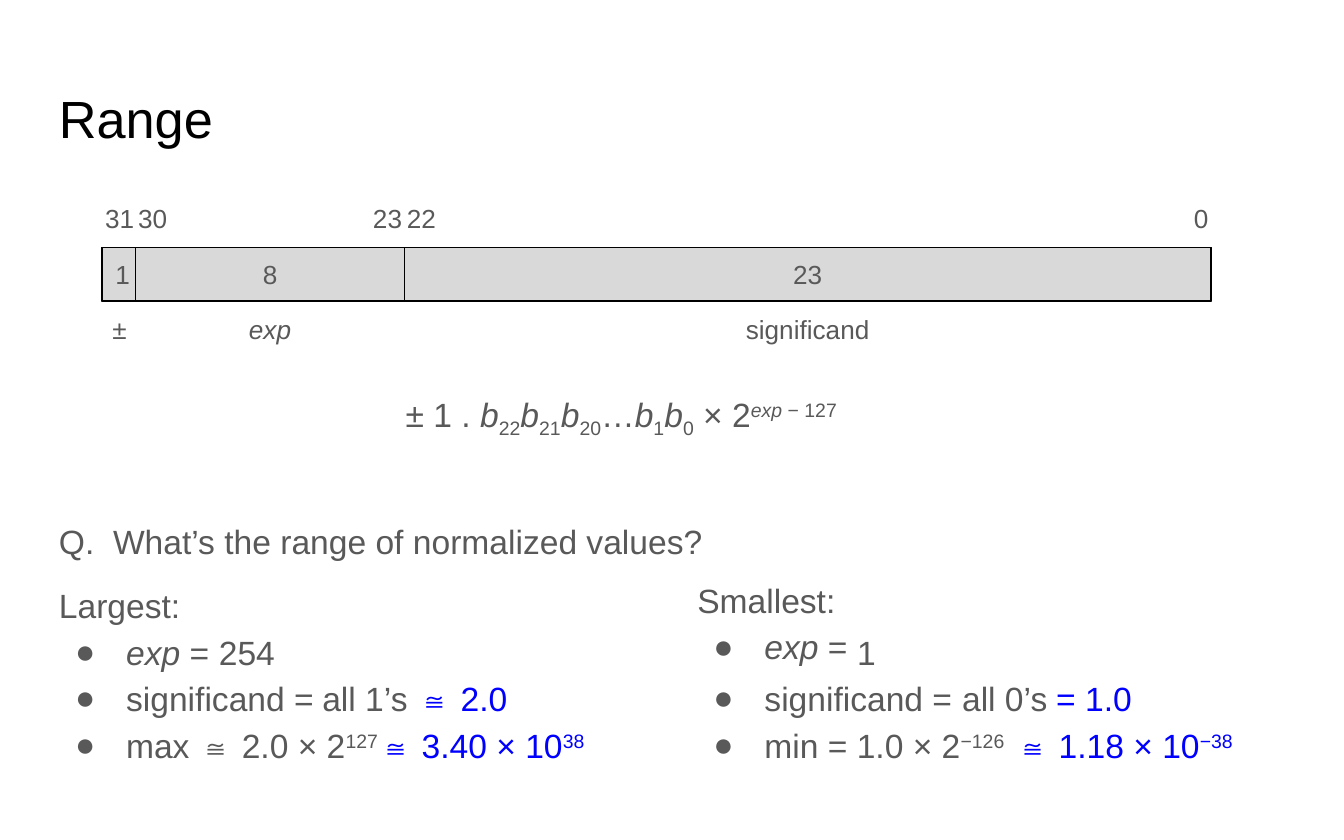
from lxml import etree
from pptx import Presentation
from pptx.dml.color import RGBColor
from pptx.enum.shapes import MSO_SHAPE
from pptx.enum.text import MSO_ANCHOR, PP_ALIGN
from pptx.oxml.ns import qn
from pptx.util import Inches, Pt

LEFT, CENTER, RIGHT = PP_ALIGN.LEFT, PP_ALIGN.CENTER, PP_ALIGN.RIGHT
TOP, MIDDLE = MSO_ANCHOR.TOP, MSO_ANCHOR.MIDDLE
RECTANGLE = MSO_SHAPE.RECTANGLE
BLACK = RGBColor(0x00, 0x00, 0x00)
GRAY = RGBColor(0x59, 0x59, 0x59)
LIGHT_GRAY = RGBColor(0xD9, 0xD9, 0xD9)
BLUE = RGBColor(0x00, 0x00, 0xFF)
FONT = "Arial"

ITALIC, SUB, SUPER, SUPER_ITALIC = "italic", "sub", "super", "super italic"
BASELINES = {SUB: "-25000", SUPER: "30000", SUPER_ITALIC: "30000"}

FIELDS_LEFT, FIELDS_TOP, ROW_HEIGHT = 0.76, 1.84, 0.4
BIT_NUMBERS_TOP, NAMES_TOP = 1.42, 2.25
FIELDS = [("1", 0.25), ("8", 2), ("23", 6)]
FIELD_NAMES = [
    ("±", -0.11, 2),
    ([("exp", ITALIC)], 1.01, 2),
    ("significand", 3.01, 6),
]
BIT_NUMBERS = [
    ("31", -0.11, 2, CENTER),
    ("30", 0.93, 0.66, LEFT),
    ("23", 2.34, 0.75, RIGHT),
    ("22", 2.93, 0.66, LEFT),
    ("0", 8.34, 0.75, RIGHT),
]

FORMULA = [("± 1 . ", None)]
for index in ("22", "21", "20", "…", "1", "0"):
    FORMULA += [("…", None)] if index == "…" else [("b", ITALIC), (index, SUB)]
FORMULA += [(" × 2", None), ("exp", SUPER_ITALIC), (" − 127", SUPER)]

EXPONENT = [("exp", ITALIC), (" =", None)]
LINE_TOPS = {"exponent": 4.56, "significand": 4.9, "result": 5.25}
COLUMNS = [
    {
        "heading": "Largest:", "left": 0.34, "top": 4.21, "width": 9.32,
        "bullets": [
            ("significand", "significand ="),
            ("result", [("max ≅ 2.0 × 2", None), ("127", SUPER)]),
        ],
        "values": [
            ("exponent", "254", 1.53, 1.29, GRAY),
            ("significand", "all 1’s", 2.3, 3.07, GRAY),
            ("significand", "≅ 2.0", 3.01, 3.07, BLUE),
            ("result", [("≅ 3.40 × 10", None), ("38", SUPER)], 2.72, 1.89, BLUE),
        ],
    },
    {
        "heading": "Smallest:", "left": 5.09, "top": 4.17, "width": 4.84,
        "bullets": [
            ("significand", "significand ="),
            ("result", [("min = 1.0 × 2", None), ("−126", SUPER)]),
        ],
        "values": [
            ("exponent", "1", 6.28, 1.69, GRAY),
            ("significand", "all 0’s", 7.06, 2.52, GRAY),
            ("significand", "= 1.0", 7.76, 2.52, BLUE),
            ("result", [("≅ 1.18 × 10", None), ("−38", SUPER)], 7.46, 2.26, BLUE),
        ],
    },
]

presentation = Presentation()
presentation.slide_width, presentation.slide_height = Inches(10), Inches(6.25)
slide = presentation.slides.add_slide(presentation.slide_layouts[6])


def add_bullet(paragraph):
    properties = paragraph._p.get_or_add_pPr()
    properties.set("marL", str(Inches(0.5)))
    properties.set("indent", str(-Inches(0.38)))
    color = etree.SubElement(properties, qn("a:buClr"))
    etree.SubElement(color, qn("a:srgbClr"), val=str(GRAY))
    etree.SubElement(properties, qn("a:buFont"), typeface=FONT)
    etree.SubElement(properties, qn("a:buChar"), char="●")


def write_text(shape, content, *, size=18, color=GRAY, align=LEFT, anchor=TOP,
               spacing=1.15, bullet=False, new_paragraph=False):
    frame = shape.text_frame
    frame.word_wrap = True
    frame.vertical_anchor = anchor
    frame.margin_left = frame.margin_right = Inches(0.1)
    frame.margin_top = frame.margin_bottom = Inches(0.1)
    paragraph = frame.add_paragraph() if new_paragraph else frame.paragraphs[0]
    paragraph.alignment = align
    paragraph.line_spacing = spacing
    if bullet:
        add_bullet(paragraph)
    for text, style in [(content, None)] if isinstance(content, str) else content:
        run = paragraph.add_run()
        run.text = text
        run.font.name, run.font.size = FONT, Pt(size)
        run.font.color.rgb = color
        run.font.italic = style in (ITALIC, SUPER_ITALIC)
        if style in BASELINES:
            run.font._element.set("baseline", BASELINES[style])


def add_text(content, left, top, width, height, **text_format):
    box = slide.shapes.add_textbox(Inches(left), Inches(top), Inches(width), Inches(height))
    write_text(box, content, **text_format)
    return box


def add_field(left, width):
    field = slide.shapes.add_shape(
        RECTANGLE, Inches(left), Inches(FIELDS_TOP), Inches(width), Inches(ROW_HEIGHT))
    field.shadow.inherit = False
    field.fill.background()
    field.line.color.rgb = BLACK
    field.line.width = Pt(0.75)
    return field


LABEL = {"size": 14, "anchor": MIDDLE, "spacing": 1.0}

add_text("Range", 0.34, 0.54, 9.32, 0.7, size=28, color=BLACK, spacing=1.0)

add_field(FIELDS_LEFT, sum(width for _, width in FIELDS))
field_left = FIELDS_LEFT
for bits, width in FIELDS:
    field = add_field(field_left, width)
    field.fill.solid()
    field.fill.fore_color.rgb = LIGHT_GRAY
    write_text(field, bits, align=CENTER, **LABEL)
    field_left += width
for name, left, width in FIELD_NAMES:
    add_text(name, left, NAMES_TOP, width, ROW_HEIGHT, align=CENTER, **LABEL)
for number, left, width, align in BIT_NUMBERS:
    add_text(number, left, BIT_NUMBERS_TOP, width, ROW_HEIGHT, align=align, **LABEL)

add_text(FORMULA, 2.92, 2.78, 3.73, 0.7)
add_text("Q.  What’s the range of normalized values?", 0.34, 3.73, 9.32, 1.41)

for column in COLUMNS:
    left, width = column["left"], column["width"]
    heading = add_text(column["heading"], left, column["top"], width, 1.41)
    write_text(heading, EXPONENT, bullet=True, new_paragraph=True)
    for line, content in column["bullets"]:
        add_text(content, left, LINE_TOPS[line], width, 1.41, bullet=True)
    for line, content, value_left, value_width, color in column["values"]:
        add_text(content, value_left, LINE_TOPS[line], value_width, 0.54, color=color)

presentation.save("out.pptx")
